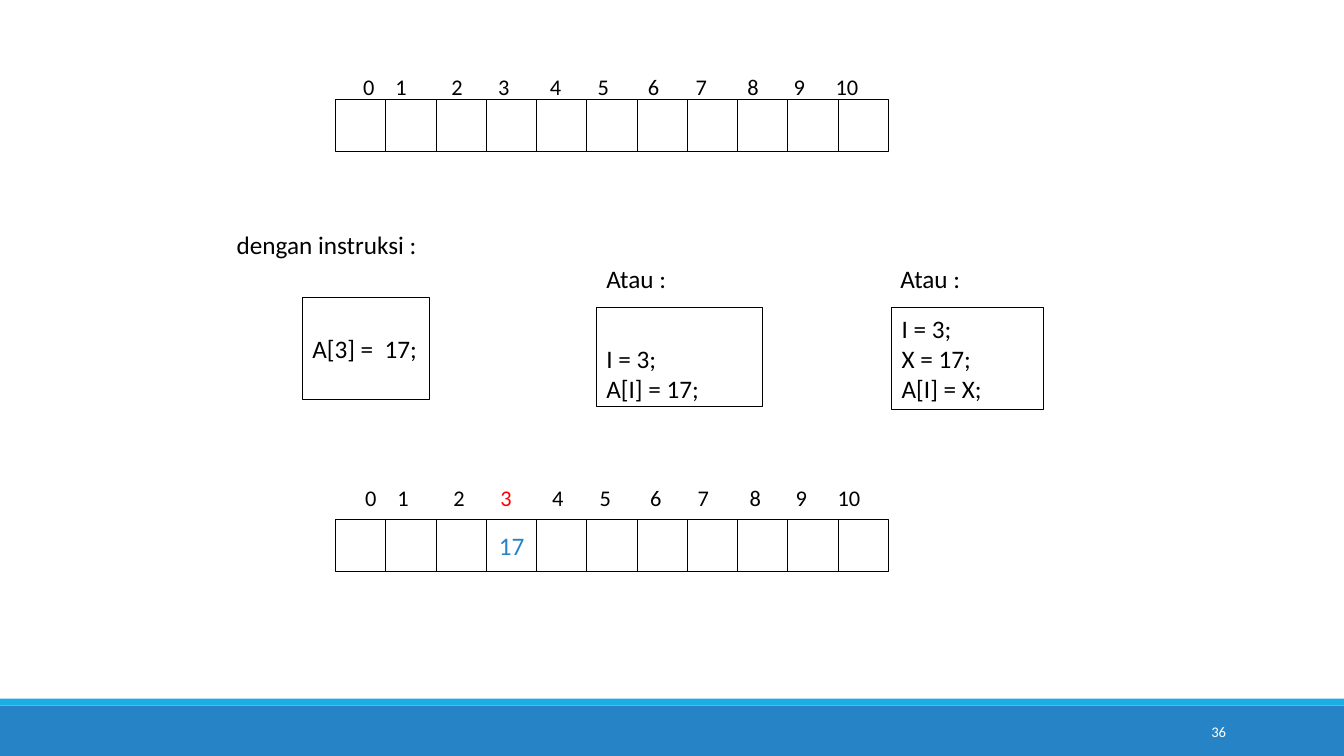
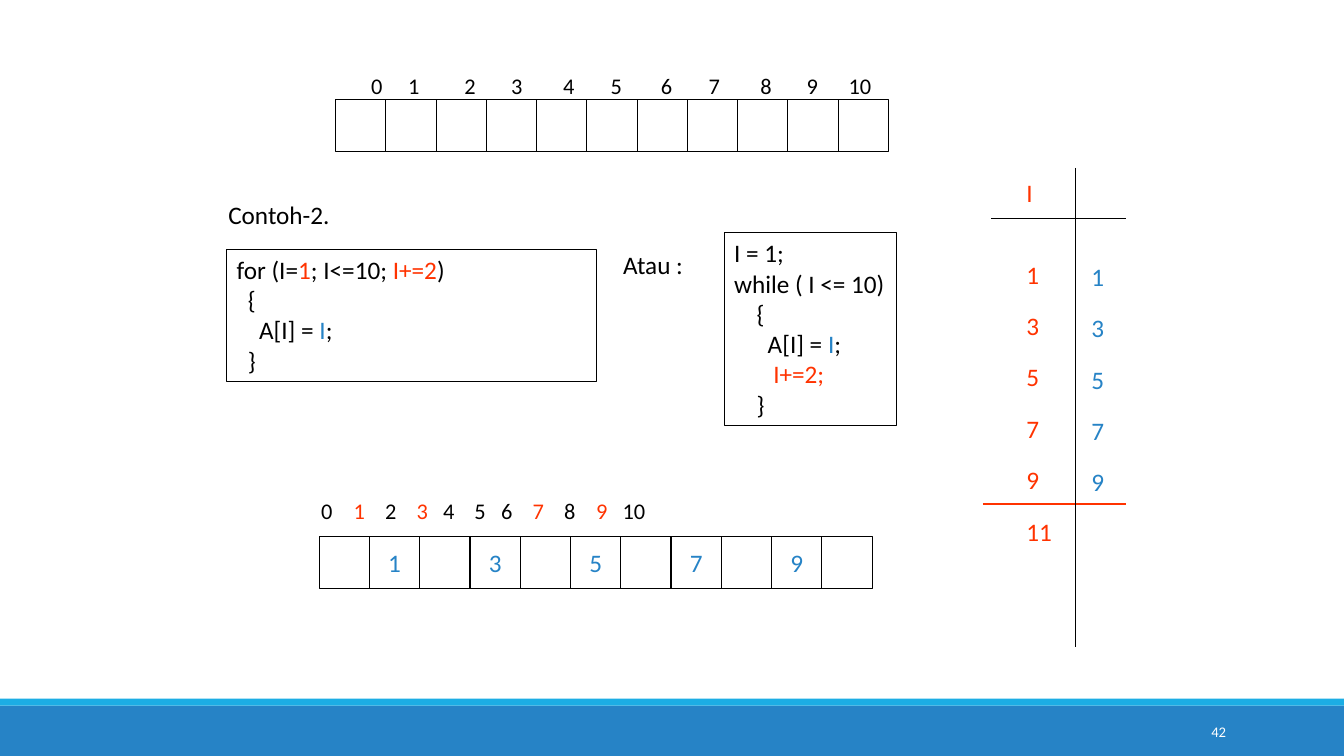
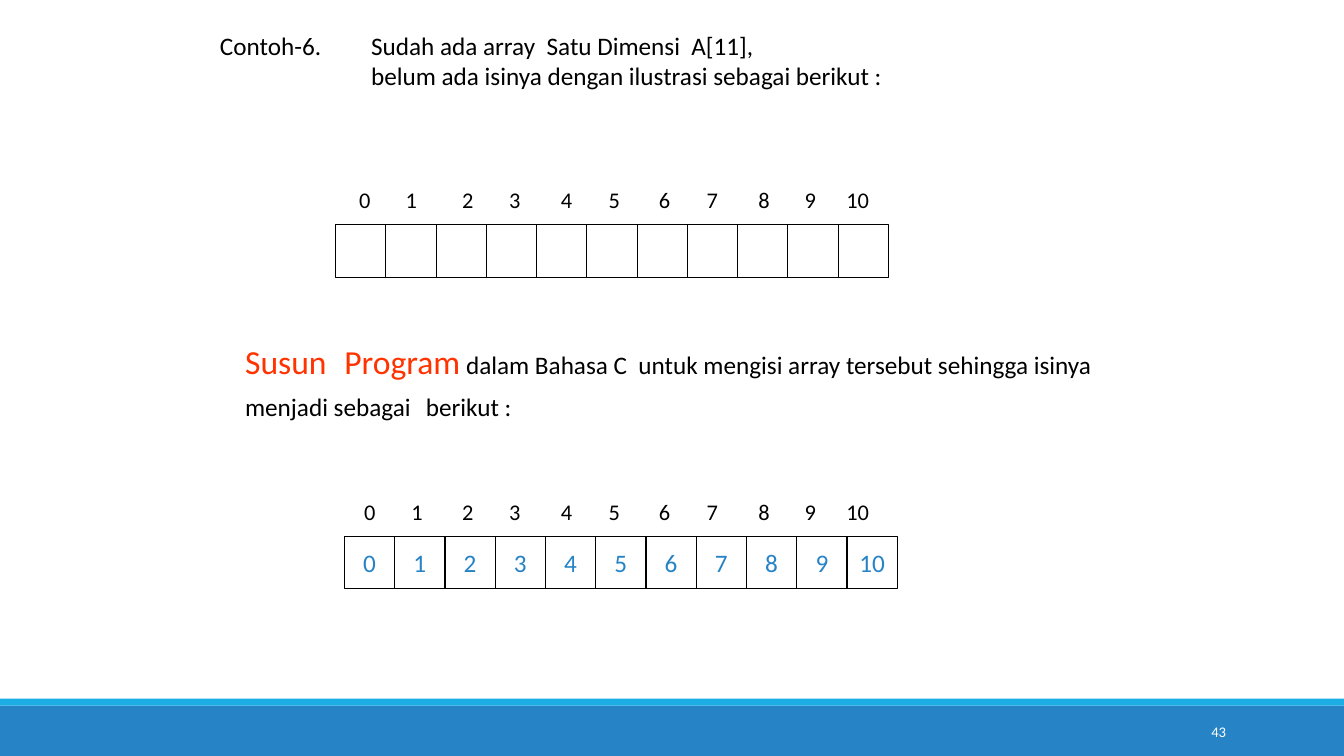
from lxml import etree
from pptx import Presentation
from pptx.dml.color import RGBColor
from pptx.enum.shapes import MSO_CONNECTOR, MSO_SHAPE
from pptx.enum.text import MSO_ANCHOR, PP_ALIGN
from pptx.oxml.ns import qn
from pptx.util import Pt

RECTANGLE = MSO_SHAPE.RECTANGLE
STRAIGHT = MSO_CONNECTOR.STRAIGHT
LEFT, CENTER, RIGHT = PP_ALIGN.LEFT, PP_ALIGN.CENTER, PP_ALIGN.RIGHT
TOP, MIDDLE = MSO_ANCHOR.TOP, MSO_ANCHOR.MIDDLE

BLACK = RGBColor(0x00, 0x00, 0x00)
WHITE = RGBColor(0xFF, 0xFF, 0xFF)
BLUE = RGBColor(0x26, 0x83, 0xC6)
CYAN = RGBColor(0x1C, 0xAD, 0xE4)
RED = RGBColor(0xFF, 0x00, 0x00)
ORANGE = RGBColor(0xFF, 0x33, 0x00)

FONT = "Calibri"
PAGE_WIDTH, PAGE_HEIGHT = 960, 540
CELL_WIDTH, CELL_HEIGHT, CELL_STEP, CELL_COUNT = 36, 37.5, 35.9, 11
HALF_DIGIT, INSET = 4.05, 7.2
# Centres of labels 2 to 10, measured from label 2
LABEL_OFFSETS = [0, 33.5, 70.5, 104.5, 140.5, 174.5, 211.5, 244.5, 278.5]


def add_box(page, left, top, width, height, paragraphs, framed=False, color=BLACK, size=18,
            align=LEFT, anchor=TOP, top_inset=3.6, spacing=None, indents=(), tabs=()):
    """Add a text box or framed box; a paragraph is a list of texts or (text, color, size)."""
    area = Pt(left), Pt(top), Pt(width), Pt(height)
    if framed:
        box = page.shapes.add_shape(RECTANGLE, *area)
        box.shadow.inherit = False
        box.fill.background()
        box.line.color.rgb = BLACK
        box.line.width = Pt(0.75)
    else:
        box = page.shapes.add_textbox(*area)
    frame = box.text_frame
    frame.word_wrap = True
    frame.vertical_anchor = anchor
    frame.margin_top = Pt(top_inset)
    if align == LEFT:
        frame.margin_right = 0
    for number, spans in enumerate(paragraphs):
        para = frame.add_paragraph() if number else frame.paragraphs[0]
        para.alignment = align
        if spacing:
            para.line_spacing = spacing
        properties = para._p.get_or_add_pPr()
        if indents:
            properties.set("marL", str(Pt(indents[number])))
        if tabs:
            tab_list = etree.SubElement(properties, qn("a:tabLst"))
            for position in tabs:
                etree.SubElement(tab_list, qn("a:tab"), pos=str(Pt(position)), algn="ctr")
        for span in spans:
            text, span_color, span_size = span if isinstance(span, tuple) else (span, color, size)
            run = para.add_run()
            run.text = text
            run.font.name = FONT
            run.font.size = Pt(span_size)
            run.font.color.rgb = span_color


def add_array(page, left, top, values, label_top, centres, marked=(), mark_color=ORANGE):
    """Draw the array cells, with their index labels centred on the given places."""
    for index in range(CELL_COUNT):
        paragraphs = [[values[index]]] if index in values else []
        add_box(page, left + index * CELL_STEP, top, CELL_WIDTH, CELL_HEIGHT, paragraphs,
                framed=True, color=BLUE, align=CENTER, anchor=MIDDLE)
    text_start = centres[0] - HALF_DIGIT
    labels = [("\t" * (index > 0) + str(index), mark_color if index in marked else BLACK, 16)
              for index in range(CELL_COUNT)]
    add_box(page, text_start - INSET, label_top, 400, 27, [labels],
            tabs=[centre - text_start for centre in centres[1:]])


deck = Presentation()
deck.slide_width, deck.slide_height = Pt(PAGE_WIDTH), Pt(PAGE_HEIGHT)

pages = []
for page_number in ("36", "42", "43"):
    page = deck.slides.add_slide(deck.slide_layouts[6])
    for top, height, color in ((504, 36, BLUE), (499, 5, CYAN)):
        band = page.shapes.add_shape(RECTANGLE, 0, Pt(top), Pt(PAGE_WIDTH), Pt(height))
        band.shadow.inherit = False
        band.fill.solid()
        band.fill.fore_color.rgb = color
        band.line.fill.background()
    add_box(page, 780, 508.5, 102.8, 28.8, [[page_number]], color=WHITE, size=10.5,
            align=RIGHT, anchor=MIDDLE)
    pages.append(page)
assignment, odd_loop, exercise = pages

# Assigning one element
add_array(assignment, 239.7, 71, {}, 49,
          [263.6, 286.5] + [326.5 + offset for offset in LABEL_OFFSETS])
add_box(assignment, 162, 160, 145, 29, [["dengan instruksi :"]])
for left in (426, 636):
    add_box(assignment, left, 184.5, 65, 29, [["Atau :"]])
add_box(assignment, 216, 212.4, 91, 73, [["A[3] =  17;"]], framed=True, top_inset=25.6)
add_box(assignment, 426, 219.5, 118.5, 71, [["I = 3;"], ["A[I] = 17;"]],
        framed=True, top_inset=25.6)
add_box(assignment, 637, 220, 108.5, 72.5, [["I = 3;"], ["X = 17;"], ["A[I] = X;"]], framed=True)
add_array(assignment, 239.7, 370.8, {3: "17"}, 342,
          [265, 288] + [328 + offset for offset in LABEL_OFFSETS], marked=(3,), mark_color=RED)

# Filling the odd elements with a loop
add_array(odd_loop, 239.7, 71, {}, 48.2,
          [269.3, 295.7] + [335.8 + offset for offset in LABEL_OFFSETS])
add_box(odd_loop, 156, 138.5, 95, 29, [["Contoh-2."]])
assign_line = ["A[I] = ", ("I", BLUE, 18), ";"]
add_box(odd_loop, 162, 178, 264, 94.5,
        [["for (I=", ("1", ORANGE, 18), "; I<=10; ", ("I+=2", ORANGE, 18), ")"],
         ["{"], assign_line, ["}"]],
        framed=True, indents=(0, 8, 16, 8))
add_box(odd_loop, 438, 174.5, 65, 29, [["Atau :"]])
add_box(odd_loop, 517.3, 166.3, 123, 138,
        [["I = 1;"], ["while ( I <= 10)"], ["{"], assign_line, [("I+=2;", ORANGE, 18)], ["}"]],
        framed=True, indents=(0, 0, 16, 24, 28, 16))
odd_numbers = [1, 3, 5, 7, 9]
add_array(odd_loop, 228, 383, {number: str(number) for number in odd_numbers}, 351.4,
          [233.6, 256.8, 279.3, 301.8, 320.7, 342.9, 362.1, 384.6, 407.1, 430, 452.9],
          marked=(1, 3, 7, 9))

# Trace of the loop variable
add_box(odd_loop, 726, 123, 33, 29, [["I"]], color=ORANGE)
add_box(odd_loop, 726, 166.3, 38, 230, [[str(number)] for number in odd_numbers + [11]],
        color=ORANGE, spacing=1.7)
add_box(odd_loop, 772.5, 167.8, 30, 193, [[str(number)] for number in odd_numbers],
        color=BLUE, spacing=1.7)
for start_x, start_y, end_x, end_y, color in ((708, 156, 804, 156, BLACK),
                                              (702, 360, 804, 360, ORANGE),
                                              (768, 120, 768, 462, BLACK)):
    rule = odd_loop.shapes.add_connector(STRAIGHT, Pt(start_x), Pt(start_y), Pt(end_x), Pt(end_y))
    rule.line.color.rgb = color
    rule.line.width = Pt(0.75)
    etree.SubElement(rule._element.spPr, qn("a:effectLst"))

# Exercise: fill every element with its index
add_box(exercise, 150, 18, 95, 29, [["Contoh-6."]])
add_box(exercise, 258, 18, 434, 51,
        [["Sudah ada array  Satu Dimensi  A[11],"],
         ["belum ada isinya dengan ilustrasi sebagai berikut :"]])
add_array(exercise, 239.7, 160.6, {}, 129.6,
          [260.7, 293.9] + [334.3 + offset for offset in LABEL_OFFSETS])
add_box(exercise, 168, 236, 642, 70,
        [[("Susun", ORANGE, 24), ("  ", ORANGE, 28), ("Program", ORANGE, 24),
          " dalam Bahasa C  untuk mengisi array tersebut sehingga isinya menjadi sebagai",
          ("  ", BLACK, 24), "berikut :"]])
add_array(exercise, 246, 383, {index: str(index) for index in range(CELL_COUNT)}, 352,
          [264.3, 297.9] + [334.3 + offset for offset in LABEL_OFFSETS])

deck.save("out.pptx")
